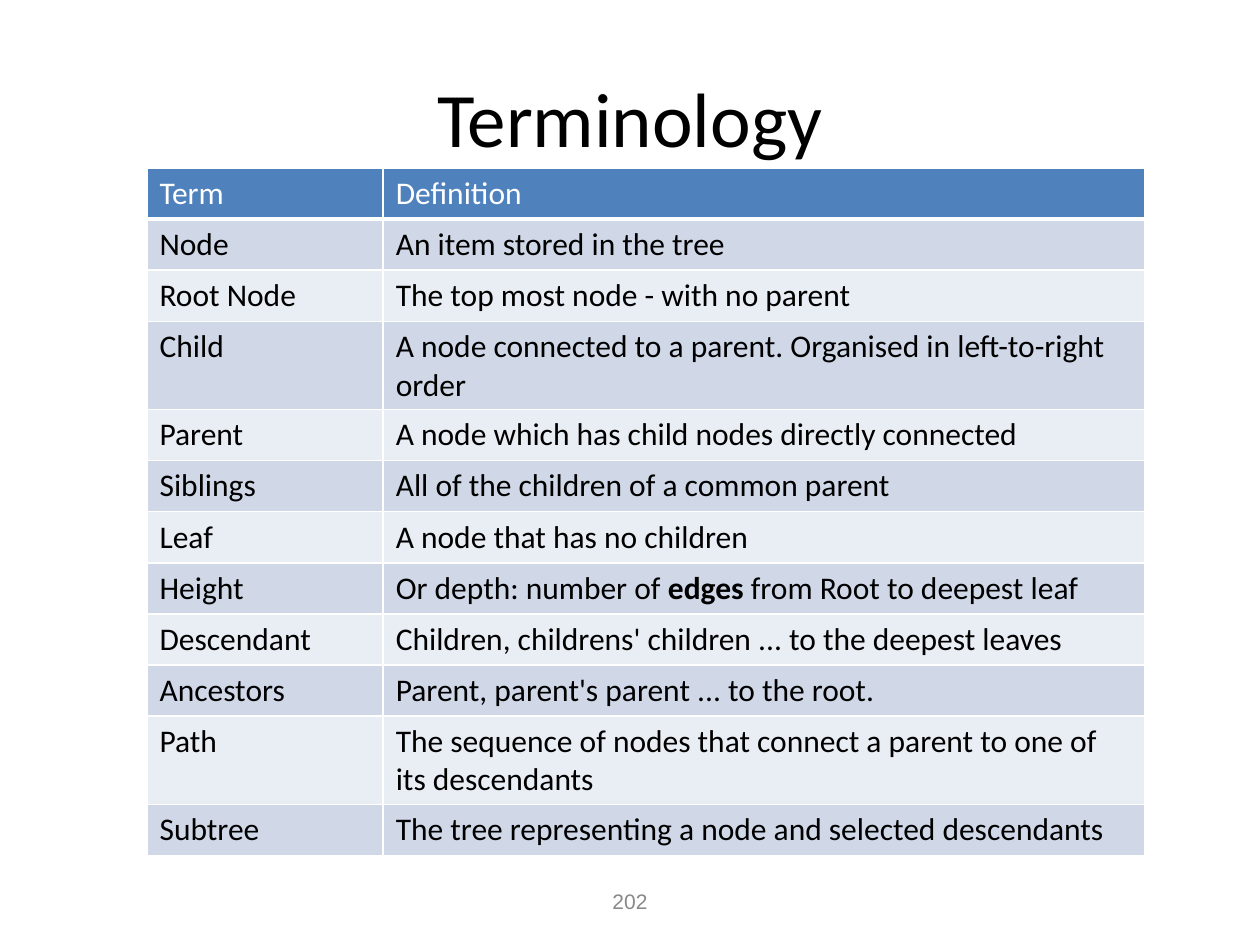
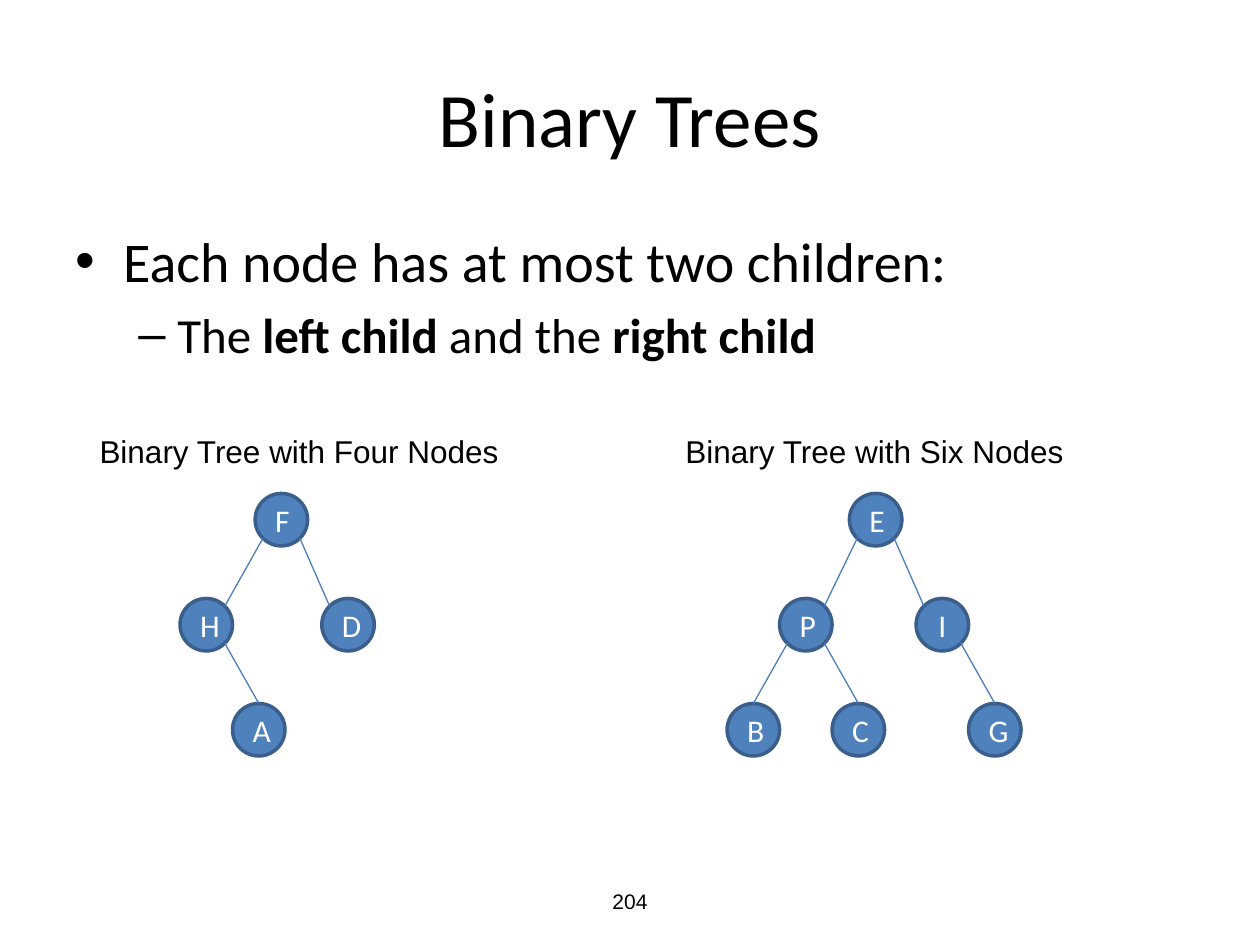
from lxml.etree import SubElement
from pptx import Presentation
from pptx.dml.color import RGBColor
from pptx.enum.shapes import MSO_CONNECTOR, MSO_SHAPE
from pptx.enum.text import MSO_ANCHOR, PP_ALIGN
from pptx.oxml.ns import qn
from pptx.util import Inches, Pt

WIDTH, HEIGHT = Inches(10), Inches(7.5)
COLUMNS = 24
CELL = WIDTH / COLUMNS
COLORS = {
    "black": "000000",
    "white": "FFFFFF",
    "gray": "898989",
    "blue": "4F81BD",
    "outline": "3A5F8C",
    "branch": "4B7EBC",
    "odd_row": "D0D8E8",
    "even_row": "E9EDF4",
}
HEADING, SANS = "Calibri", "Arial"
TITLE_BOX = (1.2, 0.72, 21.6, 3)
BODY_BOX = (1.2, 4.2, 21.6, 11.88)
NUMBER_BOX = (8.2, 16.68, 7.6, 0.96)
TABLE_LEFT, TABLE_TOP = 2.8, 3.2
TABLE_COLUMNS = (4.5, 14.5)
ROW_HEIGHT, TALL_ROW_HEIGHT = Pt(29.2), Pt(50.4)
TALL_TERMS = ("Child", "Path")
TREE_TOP = 9.4
LEVEL_STEP = 2
DIAGONAL = 0.35

TERMS = [
    ("Term", "Definition"),
    ("Node", "An item stored in the tree"),
    ("Root Node", "The top most node - with no parent"),
    ("Child", "A node connected to a parent. Organised in left-to-right order"),
    ("Parent", "A node which has child nodes directly connected"),
    ("Siblings", "All of the children of a common parent"),
    ("Leaf", "A node that has no children"),
    ("Height", "Or depth: number of **edges** from Root to deepest leaf"),
    ("Descendant", "Children, childrens' children ... to the deepest leaves"),
    ("Ancestors", "Parent, parent's parent ... to the root."),
    ("Path", "The sequence of nodes that connect a parent to one of its descendants"),
    ("Subtree", "The tree representing a node and selected descendants"),
]

FOUR_NODES = {
    "F": (1.43, 0, None),
    "H": (0, 1, "F"),
    "D": (2.7, 1, "F"),
    "A": (1, 2, "H"),
}
SIX_NODES = {
    "E": (2.33, 0, None),
    "P": (1, 1, "E"),
    "I": (3.6, 1, "E"),
    "B": (0, 2, "P"),
    "C": (2, 2, "P"),
    "G": (4.6, 2, "I"),
}


def grid(*cells):
    return [round(cell * CELL) for cell in cells]


def color(name):
    return RGBColor.from_string(COLORS[name])


def write(paragraph, text, size=18, font=HEADING, ink="black", align=None):
    if align is not None:
        paragraph.alignment = align
    for index, part in enumerate(text.split("**")):
        if part:
            run = paragraph.add_run()
            run.text = part
            run.font.size = Pt(size)
            run.font.name = font
            run.font.bold = index % 2 == 1
            run.font.color.rgb = color(ink)


def add_text_box(slide, box, text="", anchor=MSO_ANCHOR.TOP, wrap=True, **style):
    frame = slide.shapes.add_textbox(*grid(*box)).text_frame
    frame.word_wrap = wrap
    frame.vertical_anchor = anchor
    write(frame.paragraphs[0], text, **style)
    return frame


def add_page(presentation, title, number, number_ink):
    slide = presentation.slides.add_slide(presentation.slide_layouts[6])
    centered = {"anchor": MSO_ANCHOR.MIDDLE, "align": PP_ALIGN.CENTER}
    add_text_box(slide, TITLE_BOX, title, size=44, **centered)
    add_text_box(slide, NUMBER_BOX, number, size=12, font=SANS, ink=number_ink, **centered)
    return slide


def add_bullet(paragraph, text, character, left, hanging, size):
    properties = paragraph._p.get_or_add_pPr()
    properties.set("marL", str(Inches(left)))
    properties.set("indent", str(-Inches(hanging)))
    SubElement(properties, qn("a:buFont"), typeface=SANS)
    SubElement(properties, qn("a:buChar"), char=character)
    write(paragraph, text, size=size)


def set_borders(cell, bottom):
    properties = cell._tc.get_or_add_tcPr()
    for side, points in (("L", 1), ("R", 1), ("T", 1), ("B", bottom)):
        line = SubElement(properties, qn(f"a:ln{side}"), w=str(Pt(points)))
        fill = SubElement(line, qn("a:solidFill"))
        SubElement(fill, qn("a:srgbClr"), val=COLORS["white"])


def add_term_table(slide):
    heights = [TALL_ROW_HEIGHT if term in TALL_TERMS else ROW_HEIGHT for term, _ in TERMS]
    left, top, width = grid(TABLE_LEFT, TABLE_TOP, sum(TABLE_COLUMNS))
    table = slide.shapes.add_table(
        len(TERMS), len(TABLE_COLUMNS), left, top, width, sum(heights)
    ).table
    for column, column_width in zip(table.columns, grid(*TABLE_COLUMNS)):
        column.width = column_width
    for index, (texts, height) in enumerate(zip(TERMS, heights)):
        table.rows[index].height = height
        header = index == 0
        background = "blue" if header else ("even_row", "odd_row")[index % 2]
        for cell, text in zip(table.rows[index].cells, texts):
            set_borders(cell, bottom=3 if header else 1)
            cell.fill.solid()
            cell.fill.fore_color.rgb = color(background)
            write(cell.text_frame.paragraphs[0], text, ink="white" if header else "black")


def add_node(slide, letter, left, top):
    node = slide.shapes.add_shape(MSO_SHAPE.OVAL, *grid(left, top, 1, 1))
    node.shadow.inherit = False
    node.fill.solid()
    node.fill.fore_color.rgb = color("blue")
    node.line.color.rgb = color("outline")
    node.line.width = Pt(2)
    write(node.text_frame.paragraphs[0], letter, ink="white", align=PP_ALIGN.CENTER)
    return node


def rim_point(node, horizontal, vertical):
    return (
        round(node.left + node.width * (0.5 + horizontal * DIAGONAL)),
        round(node.top + node.height * (0.5 + vertical * DIAGONAL)),
    )


def add_branch(slide, parent, child, to_top):
    side = 1 if child.left > parent.left else -1
    start = rim_point(parent, side, 1)
    end = rim_point(child, -side, -1)
    branch = slide.shapes.add_connector(MSO_CONNECTOR.STRAIGHT, *start, *end)
    if to_top:
        branch.end_connect(child, 0)
    branch.line.color.rgb = color("branch")
    branch.line.width = Pt(0.75)
    SubElement(branch._element.spPr, qn("a:effectLst"))


def add_tree(slide, tree, left):
    nodes = {
        letter: add_node(slide, letter, left + column, TREE_TOP + level * LEVEL_STEP)
        for letter, (column, level, _) in tree.items()
    }
    for letter, (_, level, parent) in tree.items():
        if parent:
            add_branch(slide, nodes[parent], nodes[letter], to_top=level == 2)


def add_caption(slide, text, left, width):
    add_text_box(slide, (left, 8.12, width, 0.96), text, wrap=False, font=SANS)


def build_terminology(presentation):
    slide = add_page(presentation, "Terminology", "202", "gray")
    add_term_table(slide)


def build_binary_trees(presentation):
    slide = add_page(presentation, "Binary Trees", "204", "black")
    body = add_text_box(slide, BODY_BOX)
    add_bullet(body.paragraphs[0], "Each node has at most two children:", "•", 0.38, 0.38, 32)
    detail = body.add_paragraph()
    detail.level = 1
    detail.space_before = Pt(6)
    add_bullet(detail, "The **left child **and the **right child**", "–", 0.81, 0.31, 28)
    add_tree(slide, FOUR_NODES, 3.43)
    add_tree(slide, SIX_NODES, 13.85)
    add_caption(slide, "Binary Tree with Four Nodes", 1.66, 8.16)
    add_caption(slide, "Binary Tree with Six Nodes", 12.82, 7.75)


def main():
    presentation = Presentation()
    presentation.slide_width, presentation.slide_height = WIDTH, HEIGHT
    build_terminology(presentation)
    build_binary_trees(presentation)
    presentation.save("out.pptx")


if __name__ == "__main__":
    main()
